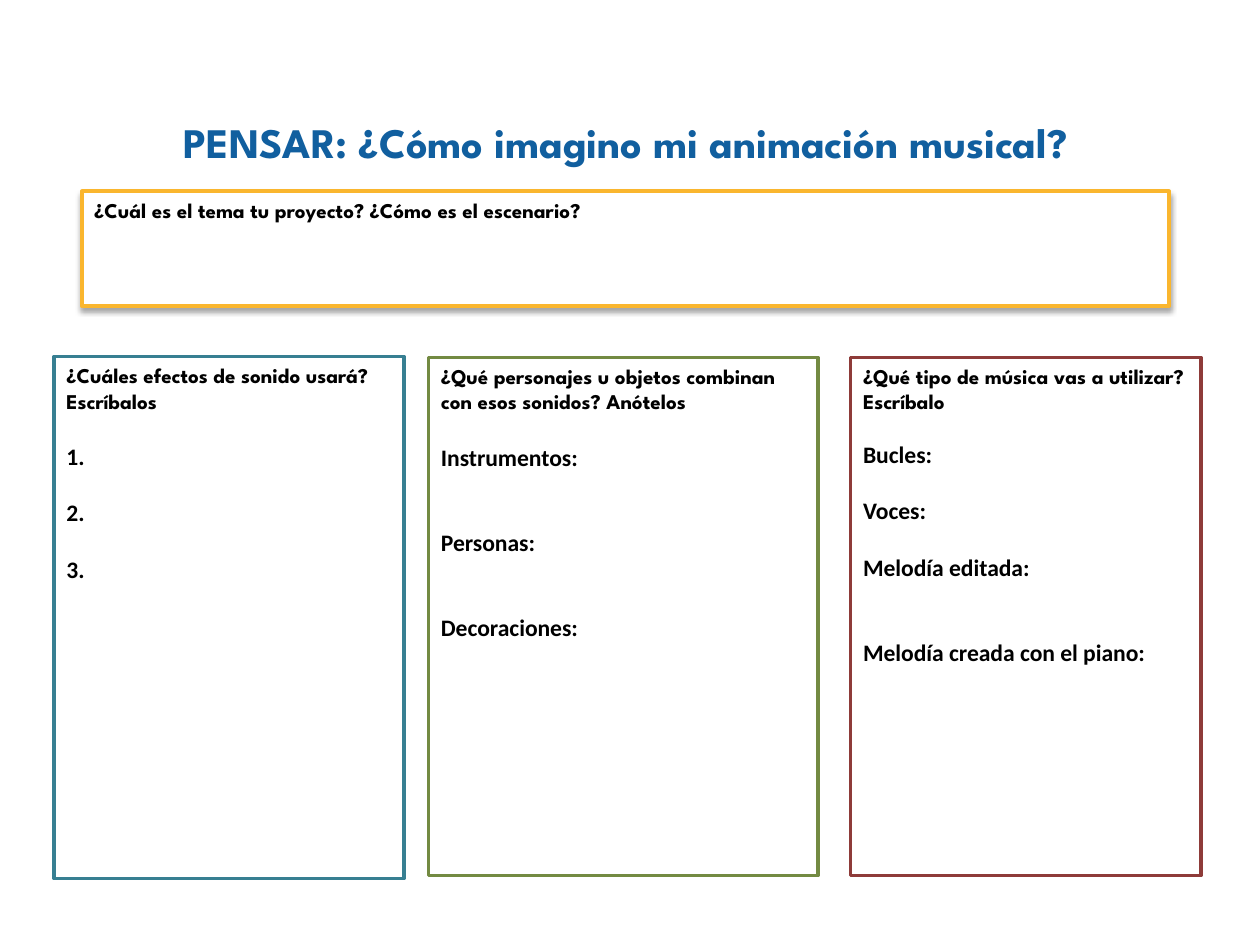
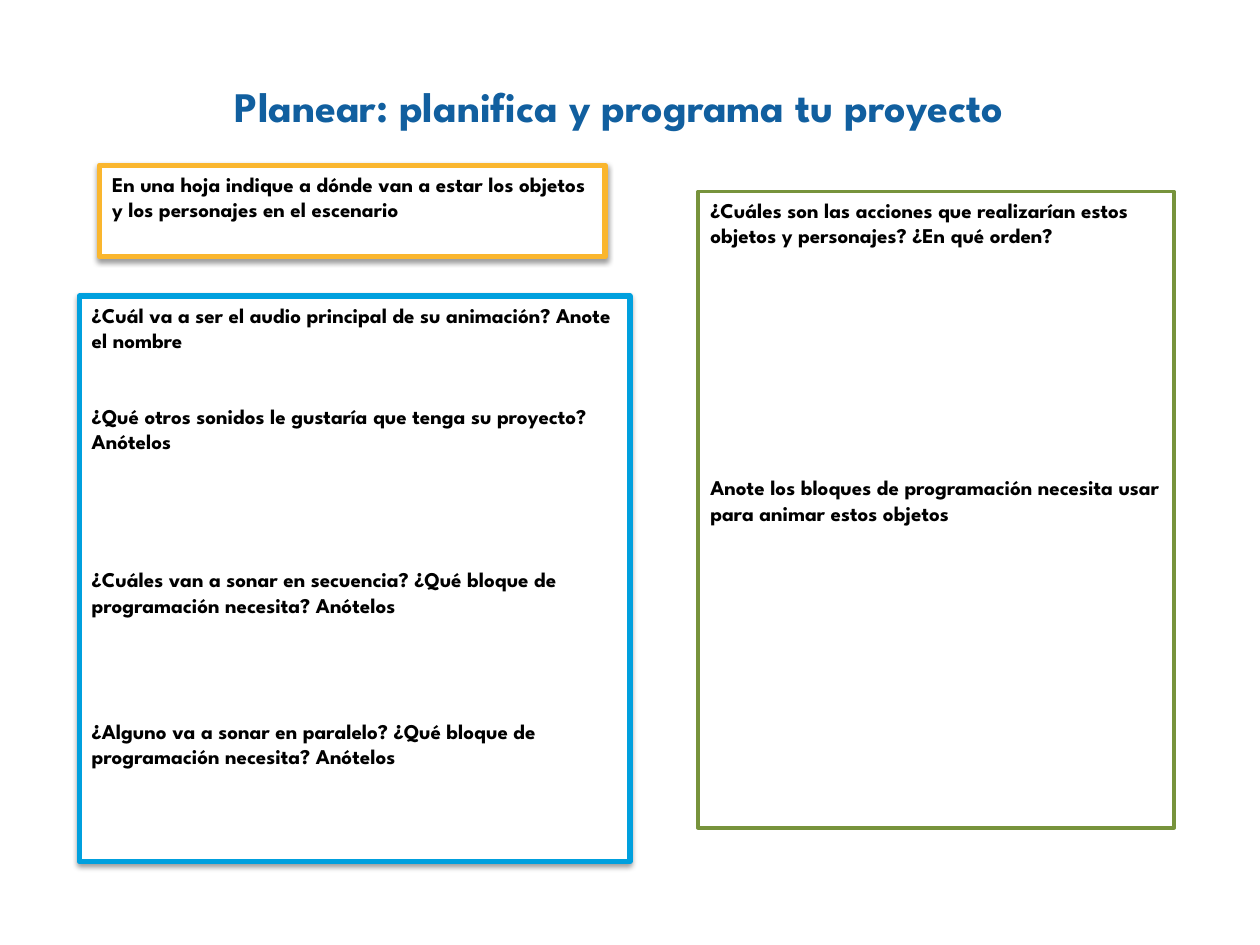
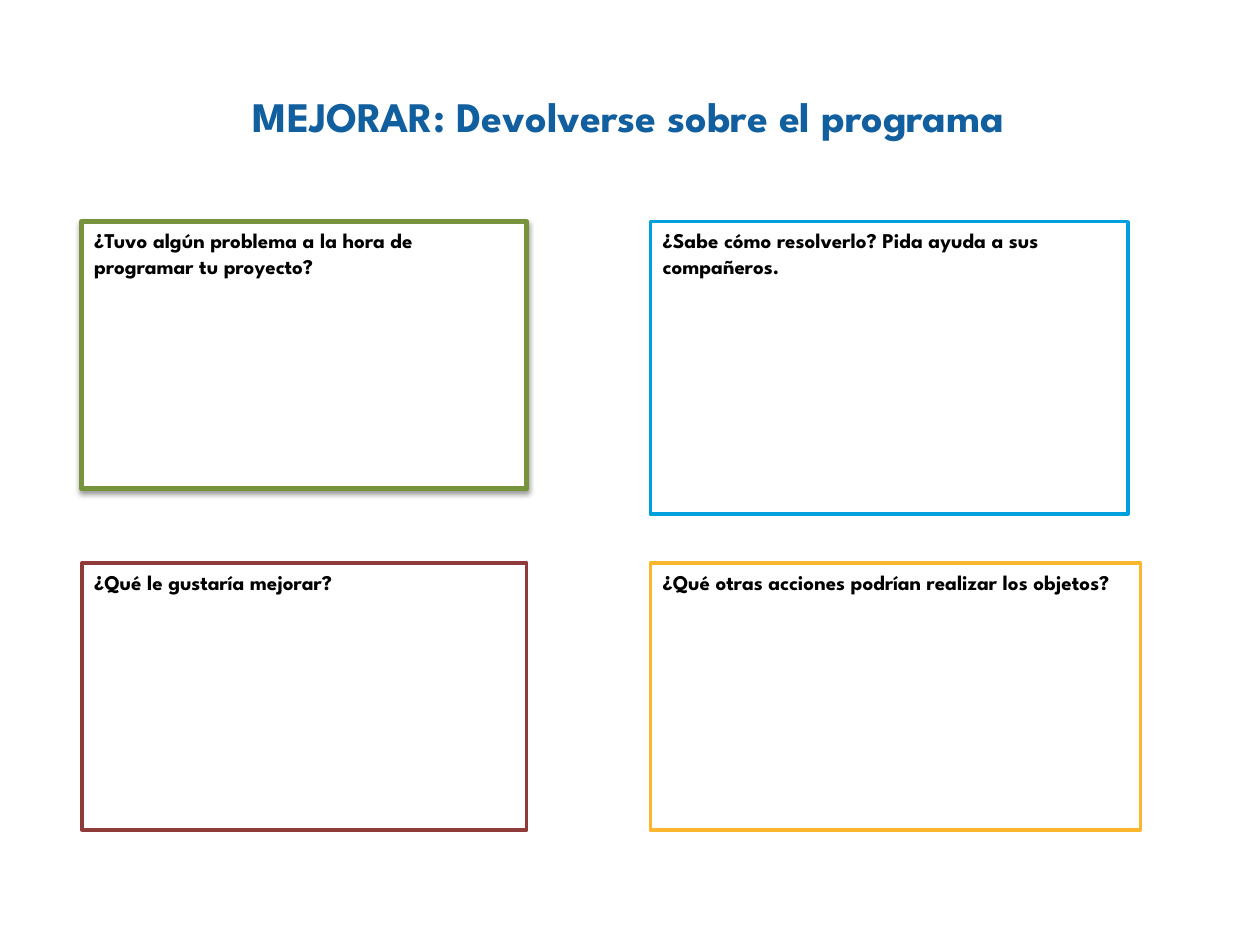
from lxml.etree import SubElement
from pptx import Presentation
from pptx.dml.color import RGBColor
from pptx.enum.shapes import MSO_SHAPE as Shape
from pptx.enum.text import MSO_ANCHOR as Anchor, MSO_AUTO_SIZE as AutoSize, PP_ALIGN as Align
from pptx.oxml.ns import qn
from pptx.util import Cm, Pt

BLUE, SKY, TEAL = "115F9F", "00A0DE", "377F92"
YELLOW, RED = "FAB62E", "8E3B39"
OLIVE, GREEN = "738A42", "77933C"
WHITE, BLACK = "FFFFFF", "000000"
DISPLAY, BODY = "League Spartan", "Calibri"
HEADING_LINE, ITEM_LINE = 14.4, 16.2


def colour(value):
    """Turn a hex string into a colour."""
    return RGBColor.from_string(value)


class Worksheet:
    """Holds the deck, its style and the current slide."""

    def __init__(self):
        """Start an empty deck in the 4:3 format."""
        self.deck = Presentation()
        self.deck.slide_width, self.deck.slide_height = Cm(25.4), Cm(19.05)
        self.page = None

    def style(self, para, name, size, value=BLACK, align=Align.LEFT):
        """Set the bold font and the alignment of a paragraph."""
        font = para.font
        font.name, font.size, font.bold = name, Pt(size), True
        font.color.rgb = colour(value)
        para.alignment = align

    def start(self, text, left, top, width):
        """Add a slide with its centred title."""
        self.page = self.deck.slides.add_slide(self.deck.slide_layouts[5])
        title = self.page.shapes.title
        title.left, title.top, title.width, title.height = map(Cm, (left, top, width, 1.45))
        frame = title.text_frame
        frame.text = text
        frame.vertical_anchor = Anchor.MIDDLE
        frame.auto_size = AutoSize.NONE
        self.style(frame.paragraphs[0], DISPLAY, 24, BLUE, Align.CENTER)

    def panel(self, left, top, width, height, edge, question, weight=2):
        """Add a framed answer panel that opens with a question."""
        box = self.page.shapes.add_shape(Shape.RECTANGLE, *map(Cm, (left, top, width, height)))
        box.shadow.inherit = False
        box.fill.solid()
        box.fill.fore_color.rgb = colour(WHITE)
        box.line.color.rgb = colour(edge)
        box.line.width = Pt(weight)
        frame = box.text_frame
        frame.word_wrap = True
        frame.vertical_anchor = Anchor.TOP
        frame.text = question
        self.style(frame.paragraphs[0], DISPLAY, 12)
        return box

    def shade(self, box, distance=1.6, opacity=38):
        """Give a panel a soft shadow below it."""
        effects = box._element.spPr.find(qn("a:effectLst"))
        shadow = SubElement(effects, qn("a:outerShdw"), blurRad=str(Pt(3.1)),
                            dist=str(Pt(distance)), dir="5400000", rotWithShape="0")
        tint = SubElement(shadow, qn("a:srgbClr"), val=BLACK)
        SubElement(tint, qn("a:alpha"), val=str(opacity * 1000))

    def add_line(self, box, text, gap, name, size):
        """Append a paragraph after a gap in points."""
        para = box.text_frame.add_paragraph()
        para.text = text
        para.space_before = Pt(gap)
        self.style(para, name, size)

    def questions(self, box, entries):
        """Append further questions, each with its gap."""
        for text, gap in entries:
            self.add_line(box, text, gap, DISPLAY, 12)

    def items(self, box, entries):
        """Append answer labels, each with its gap."""
        for text, gap in entries:
            self.add_line(box, text, gap, BODY, 13.5)


sheet = Worksheet()

sheet.start("PENSAR: ¿Cómo imagino mi animación musical?", 1.65, 2.13, 21.92)
theme = sheet.panel(1.65, 3.86, 21.92, 2.31, YELLOW,
                    "¿Cuál es el tema tu proyecto? ¿Cómo es el escenario?", 2.25)
sheet.shade(theme, 1.8, 35)
effects = sheet.panel(1.09, 7.19, 7.06, 10.52, TEAL,
                      "¿Cuáles efectos de sonido usará? Escríbalos")
sheet.items(effects, [(f"{number}.", ITEM_LINE) for number in range(1, 4)])
characters = sheet.panel(8.64, 7.21, 7.85, 10.44, OLIVE,
                         "¿Qué personajes u objetos combinan con esos sonidos? Anótelos")
sheet.items(characters, [
    ("Instrumentos:", ITEM_LINE),
    ("Personas:", 2 * ITEM_LINE),
    ("Decoraciones:", 2 * ITEM_LINE),
])
music = sheet.panel(17.15, 7.21, 7.06, 10.44, RED,
                    "¿Qué tipo de música vas a utilizar? Escríbalo")
sheet.items(music, [
    ("Bucles:", HEADING_LINE),
    ("Voces:", ITEM_LINE),
    ("Melodía editada:", ITEM_LINE),
    ("Melodía creada con el piano:", 2 * ITEM_LINE),
])

sheet.start("Planear: planifica y programa tu proyecto", 3.61, 1.4, 17.75)
stage = sheet.panel(2.01, 3.33, 10.19, 1.85, YELLOW,
                    "En una hoja indique a dónde van a estar los objetos "
                    "y los personajes en el escenario", 3)
sheet.shade(stage)
actions = sheet.panel(14.07, 3.86, 9.6, 12.83, GREEN,
                      "¿Cuáles son las acciones que realizarían estos objetos "
                      "y personajes? ¿En qué orden?")
sheet.questions(actions, [
    ("Anote los bloques de programación necesita usar para animar estos objetos",
     9 * HEADING_LINE),
])
audio = sheet.panel(1.6, 5.97, 11.1, 11.4, SKY,
                    "¿Cuál va a ser el audio principal de su animación? Anote el nombre", 3)
sheet.shade(audio)
sheet.questions(audio, [
    ("¿Qué otros sonidos le gustaría que tenga su proyecto? Anótelos", 2 * HEADING_LINE),
    ("¿Cuáles van a sonar en secuencia? ¿Qué bloque de programación necesita? Anótelos",
     4 * ITEM_LINE),
    ("¿Alguno va a sonar en paralelo? ¿Qué bloque de programación necesita? Anótelos",
     4 * HEADING_LINE),
])

sheet.start("MEJORAR: Devolverse sobre el programa", 1.24, 1.6, 22.86)
left, right, upper, lower = 1.65, 13.11, 4.47, 11.35
problem = sheet.panel(left, upper, 8.97, 5.38, GREEN,
                      "¿Tuvo algún problema a la hora de programar tu\u00a0proyecto?", 3)
sheet.shade(problem)
sheet.panel(right, upper, 9.63, 5.89, SKY,
            "¿Sabe cómo resolverlo? Pida ayuda a sus compañeros.")
sheet.panel(left, lower, 8.97, 5.38, RED, "¿Qué le gustaría mejorar?")
sheet.panel(right, lower, 9.88, 5.38, YELLOW,
            "¿Qué otras acciones podrían realizar los objetos?")

sheet.deck.save("out.pptx")
